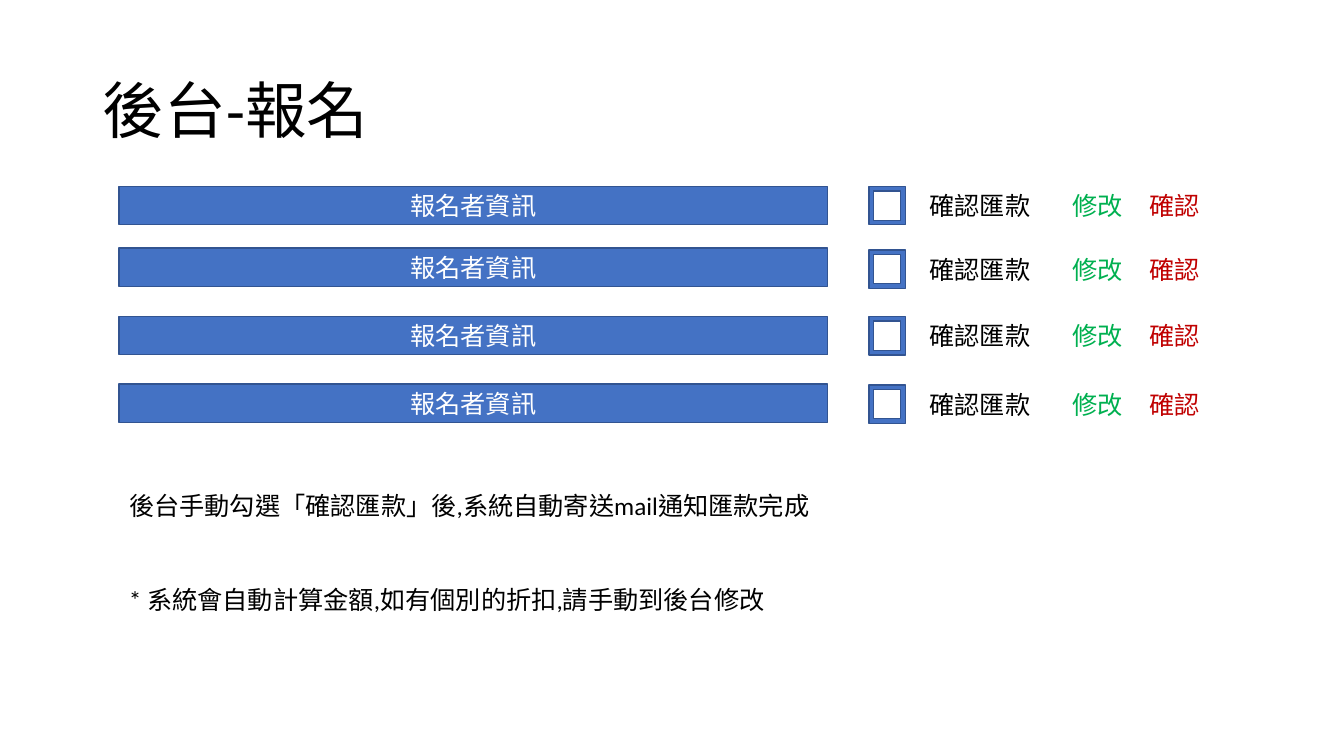
from lxml.etree import SubElement
from pptx import Presentation
from pptx.dml.color import RGBColor
from pptx.enum.shapes import MSO_SHAPE as Preset
from pptx.enum.text import MSO_ANCHOR as Anchor, MSO_AUTO_SIZE as AutoSize, PP_ALIGN as Align
from pptx.oxml.ns import qn
from pptx.util import Inches, Pt

BLACK = RGBColor(0x00, 0x00, 0x00)
WHITE = RGBColor(0xFF, 0xFF, 0xFF)
BLUE = RGBColor(0x44, 0x72, 0xC4)
DARK_BLUE = RGBColor(0x32, 0x54, 0x91)
GREEN = RGBColor(0x00, 0xB0, 0x50)
RED = RGBColor(0xC0, 0x00, 0x00)
LATIN_FONT = "Calibri"
ASIAN_FONT = "Noto Sans CJK SC"

LEFT = 1.18
ROW_TOPS = [(1.85, 1.85), (2.46, 2.48), (3.14, 3.14), (3.81, 3.82)]
LABELS = [
    ("確認匯款", 9.12, 1.21, BLACK),
    ("修改", 10.54, 0.71, GREEN),
    ("確認", 11.3, 0.71, RED),
]


def write_text(shape, text, size=18, color=BLACK, align=Align.LEFT, anchor=Anchor.TOP,
               wrap=True, auto_size=AutoSize.NONE, line_spacing=1.0, space_before=0):
    """Put one formatted paragraph into a shape."""
    frame = shape.text_frame
    frame.word_wrap = wrap
    frame.auto_size = auto_size
    frame.vertical_anchor = anchor
    paragraph = frame.paragraphs[0]
    paragraph.alignment = align
    paragraph.line_spacing = line_spacing
    paragraph.space_before = Pt(space_before)
    run = paragraph.add_run()
    run.text = text
    run.font.size = Pt(size)
    run.font.color.rgb = color
    run.font.name = LATIN_FONT
    properties = run.font._element
    properties.set("lang", "zh-TW")
    SubElement(properties, qn("a:ea"), typeface=ASIAN_FONT)


def place(shape, left, top, width, height):
    """Move and size a placeholder."""
    shape.left, shape.top = Inches(left), Inches(top)
    shape.width, shape.height = Inches(width), Inches(height)


def remove_bullet(shape):
    """Turn off the bullet and indent of the first paragraph."""
    properties = shape.text_frame.paragraphs[0]._p.get_or_add_pPr()
    properties.set("marL", "0")
    properties.set("indent", "0")
    SubElement(properties, qn("a:buNone"))


def add_text_box(slide, text, left, top, width, height, **text_format):
    """Add a text box with formatted text."""
    box = slide.shapes.add_textbox(Inches(left), Inches(top), Inches(width), Inches(height))
    write_text(box, text, **text_format)


def add_blue_shape(slide, preset, left, top, width, height):
    """Add a blue outlined preset shape."""
    shape = slide.shapes.add_shape(preset, Inches(left), Inches(top), Inches(width), Inches(height))
    shape.shadow.inherit = False
    shape.fill.solid()
    shape.fill.fore_color.rgb = BLUE
    shape.line.color.rgb = DARK_BLUE
    shape.line.width = Pt(1)
    return shape


def add_registration_row(slide, bar_top, check_top):
    """Add an applicant bar with its checkbox and action labels."""
    bar = add_blue_shape(slide, Preset.RECTANGLE, LEFT, bar_top, 7.03, 0.38)
    write_text(bar, "報名者資訊", color=WHITE, align=Align.CENTER, anchor=Anchor.MIDDLE)
    add_blue_shape(slide, Preset.FRAME, 8.62, check_top, 0.36, 0.38)
    for text, left, width, color in LABELS:
        add_text_box(slide, text, left, check_top - 0.01, width, 0.4, color=color,
                     wrap=False, auto_size=AutoSize.SHAPE_TO_FIT_TEXT)


def main():
    """Build the registration back-office slide."""
    presentation = Presentation()
    presentation.slide_width, presentation.slide_height = Inches(13.33), Inches(7.5)
    slide = presentation.slides.add_slide(presentation.slide_layouts[1])
    title, body = slide.placeholders

    place(title, 0.92, 0.4, 11.5, 1.45)
    write_text(title, "後台-報名", size=44, anchor=Anchor.MIDDLE, line_spacing=0.9)

    place(body, LEFT, 4.85, 10.33, 0.57)
    write_text(body, "後台手動勾選「確認匯款」後,系統自動寄送mail通知匯款完成".replace(",", ","),
               line_spacing=0.9, space_before=10)
    remove_bullet(body)

    for bar_top, check_top in ROW_TOPS:
        add_registration_row(slide, bar_top, check_top)

    add_text_box(slide, "* 系統會自動計算金額,如有個別的折扣,請手動到後台修改".replace(",", ","),
                 LEFT, 5.78, 10.33, 0.57, line_spacing=0.9, space_before=10)
    presentation.save("out.pptx")


main()
